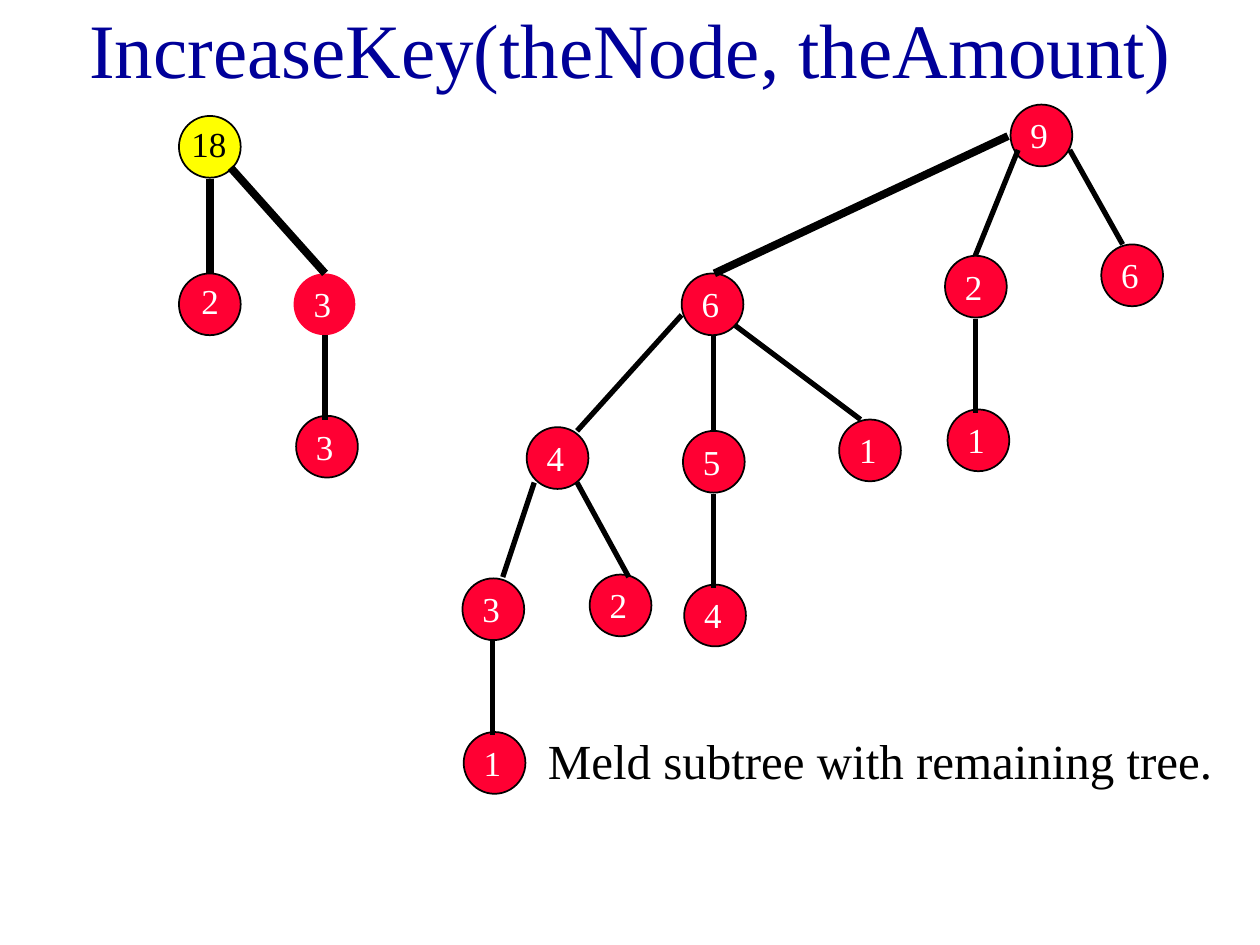
from collections import namedtuple

from lxml.etree import SubElement
from pptx import Presentation
from pptx.dml.color import RGBColor
from pptx.enum.shapes import MSO_CONNECTOR as CONNECTOR, MSO_SHAPE as SHAPE
from pptx.enum.text import MSO_ANCHOR as ANCHOR, MSO_AUTO_SIZE as AUTO_SIZE, PP_ALIGN as ALIGN
from pptx.oxml.ns import qn
from pptx.util import Inches, Pt

NAVY = RGBColor(0x00, 0x00, 0x99)
RED = RGBColor(0xFF, 0x00, 0x33)
YELLOW = RGBColor(0xFF, 0xFF, 0x00)
BLACK = RGBColor(0x00, 0x00, 0x00)
WHITE = RGBColor(0xFF, 0xFF, 0xFF)

FONT = "Times New Roman"
COLUMNS, ROWS = 100, 75
CELL = Inches(10) / COLUMNS
NODE_SIZE = 4.9
THIN, THICK = 3, 4.5

Box = namedtuple("Box", "left top width height")
Node = namedtuple("Node", "key column row fill color outlined label_offset",
                  defaults=(RED, WHITE, True, (0.6, 0.25)))
Edge = namedtuple("Edge", "start end weight", defaults=(THIN,))

# Node and edge positions are grid cells from the top left of the tree's box.
SUBTREE_BOX = Box(14.2, 9.2, 14.2, 28.7)
SUBTREE_NODES = [
    Node("18", 0, 0, YELLOW, BLACK, label_offset=(0, 0)),
    Node("2", 0, 12.5, label_offset=(0.8, 0)),
    Node("3", 9.1, 12.5, outlined=False),
    Node("3", 9.3, 23.8),
]
SUBTREE_EDGES = [
    Edge((2.5, 5), (2.5, 12.5), THICK),
    Edge((4.1, 4.1), (11.6, 12.5), THICK),
    Edge((11.6, 17.4), (11.6, 24.1)),
]

REMAINING_BOX = Box(36.7, 8.3, 55.6, 54.7)
REMAINING_NODES = [
    Node("9", 43.5, 0),
    Node("6", 17.4, 13.4),
    Node("2", 38.3, 12),
    Node("6", 50.7, 11.1),
    Node("4", 5.1, 25.6),
    Node("5", 17.5, 25.9),
    Node("1", 29.9, 25),
    Node("1", 38.5, 24.2),
    Node("3", 0, 37.6),
    Node("2", 10.1, 37.3),
    Node("4", 17.6, 38.1),
    Node("1", 0.1, 49.8),
]
REMAINING_EDGES = [
    Edge((43.3, 2.5), (20, 13.4), THICK),
    Edge((44.1, 3.6), (40.7, 12)),
    Edge((48.2, 3.6), (52.4, 11.1)),
    Edge((17.4, 16.7), (9.1, 25.9)),
    Edge((19.9, 18.4), (19.9, 25.9)),
    Edge((21.6, 17.5), (31.6, 25)),
    Edge((40.7, 17), (40.7, 24.5)),
    Edge((5.7, 30), (3.2, 37.5)),
    Edge((9.1, 30), (13.2, 37.5)),
    Edge((19.9, 30.9), (19.9, 38.4)),
    Edge((2.4, 42.5), (2.4, 50)),
]


def cells(*lengths):
    """Turn grid cells into slide lengths."""
    return [round(length * CELL) for length in lengths]


def add_text(slide, box, text, size, color, wrap=True):
    text_box = slide.shapes.add_textbox(*cells(*box))
    frame = text_box.text_frame
    frame.text = text
    frame.word_wrap = wrap
    frame.auto_size = AUTO_SIZE.SHAPE_TO_FIT_TEXT
    font = frame.paragraphs[0].runs[0].font
    font.name, font.size = FONT, Pt(size)
    font.color.rgb = color
    return text_box


def add_title(slide, box):
    frame = add_text(slide, box, "IncreaseKey(theNode, theAmount)", 44, NAVY).text_frame
    frame.auto_size = AUTO_SIZE.NONE
    frame.vertical_anchor = ANCHOR.MIDDLE
    frame.paragraphs[0].alignment = ALIGN.CENTER


def add_caption(slide, box):
    caption = add_text(slide, box, "Meld subtree with remaining tree.", 28, BLACK)
    caption.fill.solid()
    caption.fill.fore_color.rgb = WHITE
    caption.text_frame.paragraphs[0].space_before = Pt(17.5)


def add_node(slide, box, node):
    left, top = box.left + node.column, box.top + node.row
    circle = slide.shapes.add_shape(SHAPE.OVAL, *cells(left, top, NODE_SIZE, NODE_SIZE))
    circle.shadow.inherit = False
    circle.fill.solid()
    circle.fill.fore_color.rgb = node.fill
    if node.outlined:
        circle.line.color.rgb = BLACK
        circle.line.width = Pt(1)
    else:
        circle.line.fill.background()
    label_left, label_top = node.label_offset
    label_width = 2 + 1.4 * len(node.key)
    add_text(slide, Box(left + label_left, top + label_top, label_width, 4.3),
             node.key, 20, node.color, wrap=False)


def add_edge(slide, box, edge):
    ends = [box.left + edge.start[0], box.top + edge.start[1],
            box.left + edge.end[0], box.top + edge.end[1]]
    line = slide.shapes.add_connector(CONNECTOR.STRAIGHT, *cells(*ends))
    line.line.color.rgb = BLACK
    line.line.width = Pt(edge.weight)
    SubElement(line._element.spPr, qn("a:effectLst"))


def add_tree(slide, box, nodes, edges):
    for node in nodes:
        add_node(slide, box, node)
    for edge in edges:
        add_edge(slide, box, edge)


def main():
    presentation = Presentation()
    presentation.slide_width, presentation.slide_height = cells(COLUMNS, ROWS)
    slide = presentation.slides.add_slide(presentation.slide_layouts[6])
    add_title(slide, Box(1.7, 0, 96.7, 7.5))
    add_caption(slide, Box(42.5, 57.5, 55.8, 5.7))
    add_tree(slide, REMAINING_BOX, REMAINING_NODES, REMAINING_EDGES)
    add_tree(slide, SUBTREE_BOX, SUBTREE_NODES, SUBTREE_EDGES)
    presentation.save("out.pptx")


if __name__ == "__main__":
    main()
